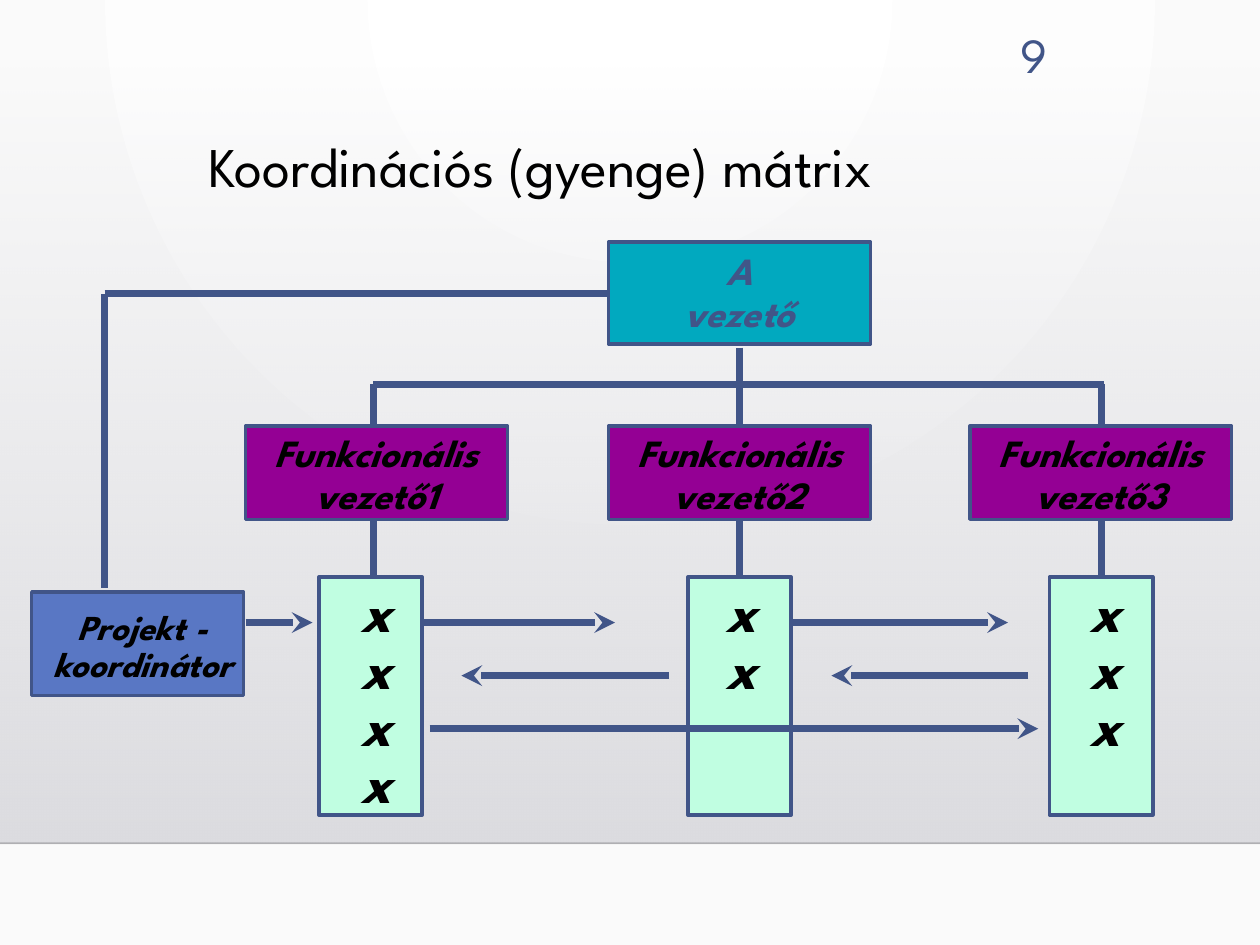
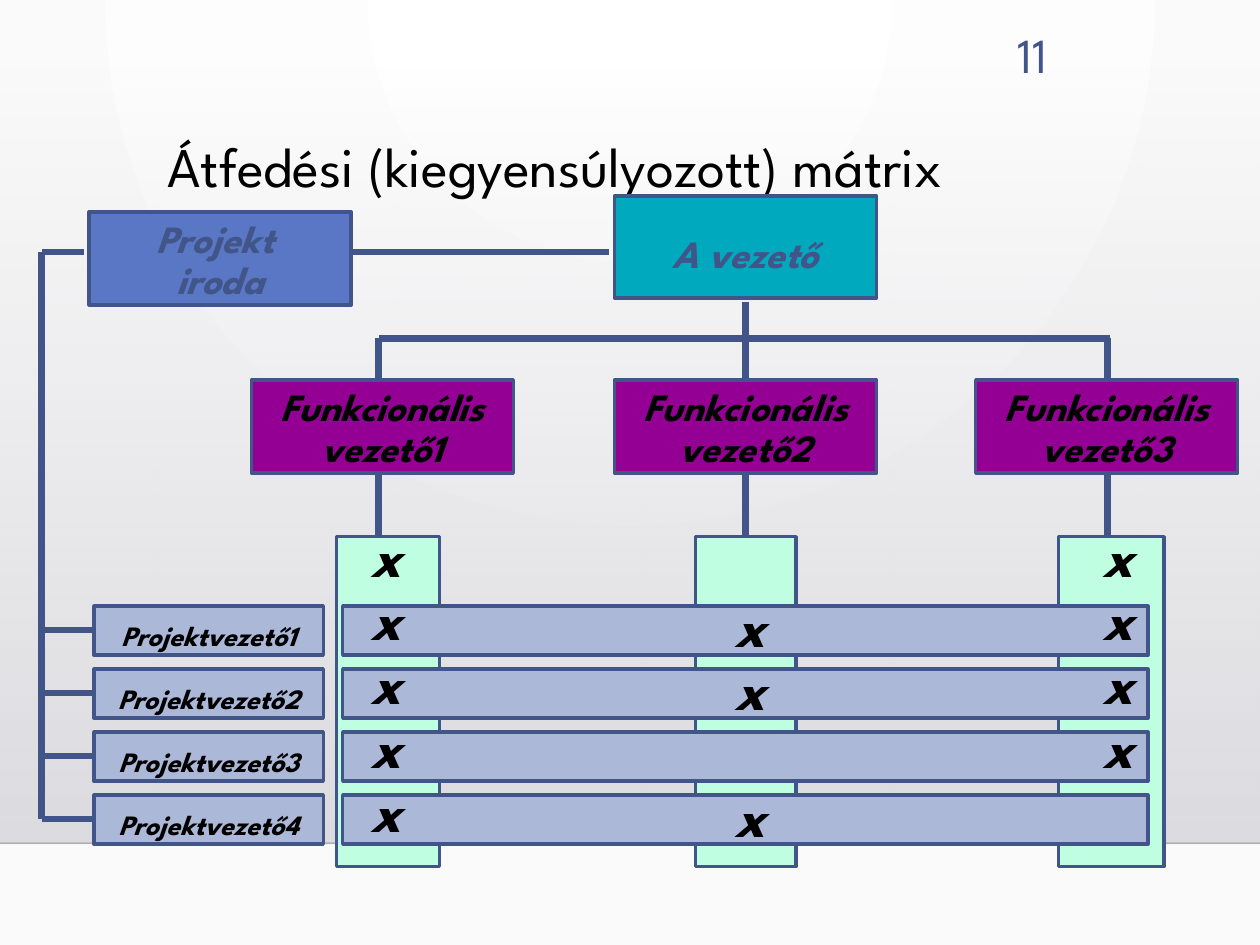
import pptx
import pptx.util
import pptx.oxml
import pptx.oxml.ns
import pptx.dml.color
import pptx.enum.text
import pptx.enum.shapes
from lxml import etree

Cm = pptx.util.Cm
Pt = pptx.util.Pt
RGB = pptx.dml.color.RGBColor
Align = pptx.enum.text.PP_ALIGN
Anchor = pptx.enum.text.MSO_ANCHOR
Kind = pptx.enum.shapes.MSO_SHAPE
qn = pptx.oxml.ns.qn

FONT = "League Spartan"
NAVY = RGB(0x41, 0x55, 0x88)
BLACK = RGB(0, 0, 0)
INK = RGB(0, 0, 1)
PURPLE = RGB(0x94, 0, 0x94)
TEAL = RGB(0x01, 0xA9, 0xBF)
BLUE = RGB(0x59, 0x77, 0xC4)
PALE = RGB(0xAB, 0xB8, 0xD7)
MINT = RGB(0xC0, 0xFE, 0xE1)
WHITE = RGB(0xFF, 0xFF, 0xFF)
SNOW = RGB(0xFA, 0xFA, 0xFA)
MIST = RGB(0xDC, 0xDC, 0xE0)
GREY = RGB(0xDE, 0xDE, 0xE2)

NS = 'xmlns:a="http://schemas.openxmlformats.org/drawingml/2006/main"'
GLOW = ('<a:path path="circle"><a:fillToRect l="43000" t="0" r="43000" '
        'b="100000"/></a:path>')
DOWN = '<a:lin ang="5400000" scaled="0"/>'

ROW = 1.27
STEMS = (2.57, 9.96, 17.25)


def blend(fill, first, last, shade, alpha=100):
    fill.gradient()
    return pptx.oxml.parse_xml(
        f'<a:gradFill {NS} rotWithShape="1"><a:gsLst>'
        f'<a:gs pos="0"><a:srgbClr val="{first}">'
        f'<a:alpha val="{alpha * 1000}"/></a:srgbClr></a:gs>'
        f'<a:gs pos="100000"><a:srgbClr val="{last}"/></a:gs>'
        f'</a:gsLst>{shade}</a:gradFill>')


def swap(root, new):
    old = next(root.iter(qn("a:gradFill")))
    old.getparent().replace(old, new)


def style(frame, size, color, align, spacing=None, bold=False, after=None):
    for para in frame.paragraphs:
        para.alignment = align
        para.line_spacing = spacing
        para.space_after = after
        font = para.font
        font.name, font.size = FONT, Pt(size)
        font.bold = font.italic = bold
        font.color.rgb = color


def text(slide, box, words, size, color=BLACK, align=Align.CENTER, **more):
    frame = slide.shapes.add_textbox(*map(Cm, box)).text_frame
    frame.word_wrap = False
    frame.text = words
    style(frame, size, color, align, **more)
    return frame


def card(slide, box, fill):
    shape = slide.shapes.add_shape(Kind.RECTANGLE, *map(Cm, box))
    shape.shadow.inherit = False
    shape.fill.solid()
    shape.fill.fore_color.rgb = fill
    shape.line.color.rgb = NAVY
    shape.line.width = Pt(2)


def node(slide, box, fill, words, size=22, color=BLACK, dx=0, dy=0.04,
         spacing=0.9):
    card(slide, box, fill)
    left, top, width, height = box
    text(slide, (left + dx, top + dy, width, height), words, size, color,
         spacing=spacing, bold=True)


def line(slide, x1, y1, x2, y2, arrow=False, color=NAVY, width=4):
    link = slide.shapes.add_connector(
        pptx.enum.shapes.MSO_CONNECTOR.STRAIGHT, *map(Cm, (x1, y1, x2, y2)))
    link.line.color.rgb = color
    link.line.width = Pt(width)
    props = link.element.spPr
    if arrow:
        etree.SubElement(props.find(qn("a:ln")), qn("a:tailEnd"),
                         type="stealth")
    etree.SubElement(props, qn("a:effectLst"))
    return link


def dress(layout, slide):
    fill = layout.background.fill
    new = blend(fill, WHITE, SNOW, GLOW)
    swap(layout.element, new)
    band = slide.shapes.add_shape(
        Kind.RECTANGLE, *map(Cm, (0, 1.3, 25.4, 15.7)))
    band.shadow.inherit = False
    band.line.fill.background()
    swap_fill = blend(band.fill, MIST, GREY, DOWN, 0)
    swap(band.element, swap_fill)
    edge = line(slide, 0, 17, 25.4, 17, color=INK, width=1)
    tone = next(edge.element.iter(qn("a:srgbClr")))
    etree.SubElement(tone, qn("a:alpha"), val="20000")
    for spot, part in enumerate((band, edge), 2):
        layout.shapes.element.insert(spot, part.element)


def head(slide, left, width, words, number):
    title = slide.shapes.title
    title.left, title.top = Cm(left), Cm(2.67)
    title.width, title.height = Cm(width), Cm(2.92)
    frame = title.text_frame
    frame.text = words
    frame.word_wrap = True
    frame.auto_size = pptx.enum.text.MSO_AUTO_SIZE.NONE
    frame.vertical_anchor = Anchor.TOP
    style(frame, 32, BLACK, Align.LEFT, 0.9)
    page = text(slide, (19.15, 0.36, 2.21, 1.4), number, 28, NAVY,
                Align.RIGHT)
    page.word_wrap = True


def tree(slide, left, top, boss, drop):
    for stem in STEMS:
        line(slide, left + stem, top + 5.63, left + stem, top + 6.9)
        start = 2.13 if stem == STEMS[1] else 2.87
        line(slide, left + stem, top + start, left + stem, top + 3.68)
    line(slide, left + STEMS[0], top + 2.87, left + 17.3, top + 2.87)
    node(slide, (left + 7.32, top, 5.28, 2.06), TEAL, boss, color=NAVY,
         dy=drop)
    for rank, shift in enumerate((0, 7.32, 14.6), 1):
        node(slide, (left + shift, top + 3.71, 5.28, 1.88), PURPLE,
             f"Funkcionális\nvezető{rank}")


def marks(slide, mid, top, count, spacing):
    return text(slide, (mid - 0.55, top, 1.1, 4.7), "\n".join("x" * count),
                32, spacing=spacing, bold=True, after=Pt(3.8))


def weak(slide, left, top):
    line(slide, 2.11, 5.92, 12.27, 5.92)
    line(slide, 2.11, 5.92, 2.11, 11.86)
    tree(slide, 4.95, 4.88, "A\nvezető", 0.08)
    for shift, mid, count in ((0, 1.14, 4), (7.44, 8.49, 2), (14.73, 15.83, 3)):
        card(slide, (left + shift, top, 2.08, 4.8), MINT)
        marks(slide, left + mid, top + 0.18, count, 0.75)
    node(slide, (0.64, 11.94, 4.27, 2.08), BLUE, "Projekt -\nkoordinátor",
         20, dx=0.11, dy=0.23)
    for start, end, row in ((-1.48, -0.13, 0), (2.1, 5.97, 0),
                            (9.52, 13.89, 0), (7.06, 2.87, 1),
                            (14.3, 10.33, 1), (2.23, 14.5, 2)):
        y = top + 0.92 + 1.07 * row
        line(slide, left + start, y, left + end, y, arrow=True)


def even(slide, left, top):
    line(slide, 7.09, 5.08, 12.27, 5.08)
    line(slide, 0.84, 5.08, 1.7, 5.08)
    line(slide, 0.84, 5.08, 0.84, 16.51)
    tree(slide, 5.07, 3.95, "A vezető", 0.66)
    node(slide, (1.8, 4.27, 5.28, 1.88), BLUE, "Projekt \niroda", color=NAVY)
    for shift, width in ((0, 2.08), (7.24, 2.03), (14.56, 2.13)):
        card(slide, (left + shift, top, width, 6.65), MINT)
    for row in range(4):
        y = top + 1.4 + ROW * row
        card(slide, (left + 0.13, y, 16.23, 0.99), PALE)
        line(slide, 0.84, y + 0.48, 1.9, y + 0.48)
        node(slide, (1.9, y, 4.62, 0.99), PALE, f"Projektvezető{row + 1}",
             16, dy=0.23, spacing=0.85)
    for mid, drop, count in ((0.98, -0.23, 5), (8.32, 1.18, 3),
                             (15.74, -0.23, 4)):
        frame = marks(slide, left + mid, top + drop, count, 0.85)
        if count == 3:
            frame.paragraphs[2].space_before = Cm(ROW)


def main():
    deck = pptx.Presentation()
    deck.slide_width, deck.slide_height = Cm(25.4), Cm(19.05)
    layout = deck.slide_layouts[5]
    first, second = (deck.slides.add_slide(layout) for _ in range(2))
    dress(layout, first)
    head(first, 3.94, 18.26, "Koordinációs (gyenge) mátrix", "9")
    weak(first, 6.43, 11.63)
    head(second, 3.12, 19.1, "Átfedési (kiegyensúlyozott) mátrix", "11")
    even(second, 6.78, 10.82)
    deck.save("out.pptx")


if __name__ == "__main__":
    main()
